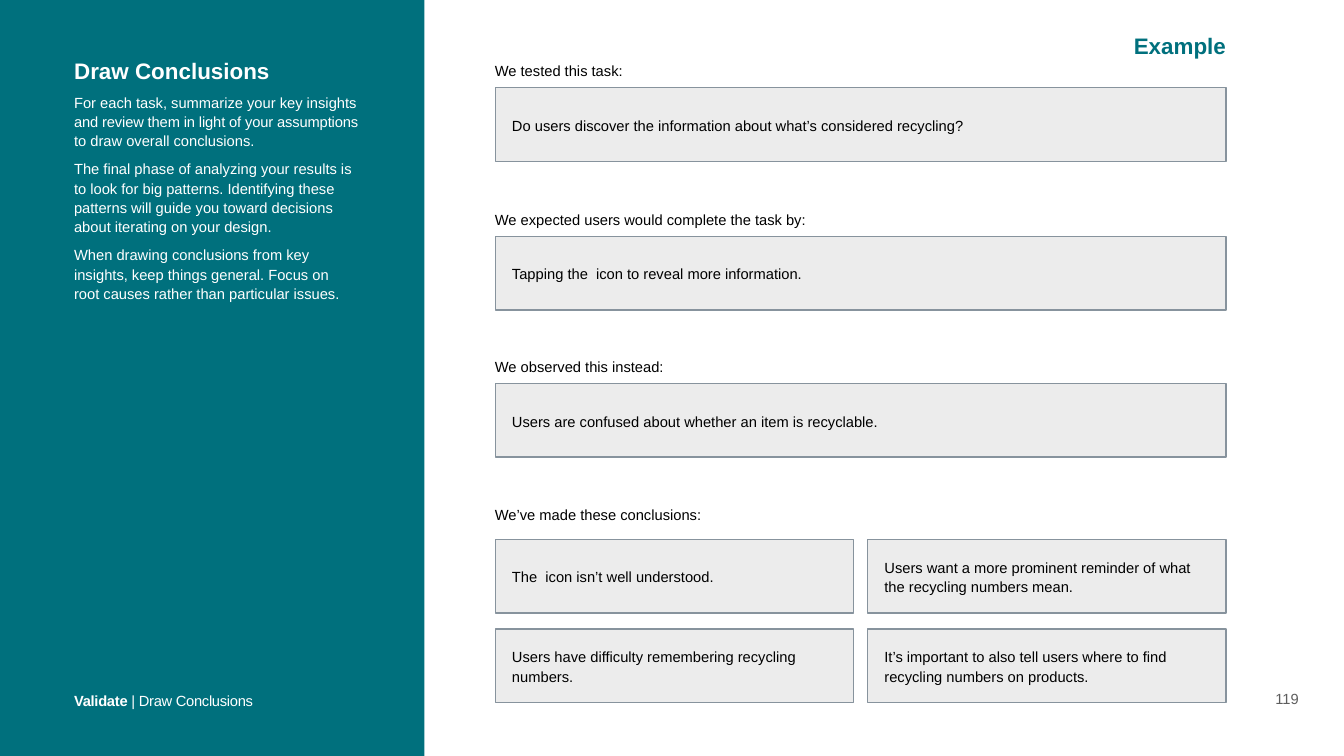
from lxml import etree
from pptx import Presentation
from pptx.dml.color import RGBColor
from pptx.enum.shapes import MSO_SHAPE
from pptx.enum.text import MSO_ANCHOR, MSO_AUTO_SIZE, PP_ALIGN
from pptx.oxml.ns import qn
from pptx.util import Inches, Pt

RECT = MSO_SHAPE.RECTANGLE
TOP, MID, LOW = MSO_ANCHOR.TOP, MSO_ANCHOR.MIDDLE, MSO_ANCHOR.BOTTOM
LEFT, MIDDLE, RIGHT = PP_ALIGN.LEFT, PP_ALIGN.CENTER, PP_ALIGN.RIGHT
FIXED = MSO_AUTO_SIZE.NONE

TEAL = RGBColor(0x00, 0x70, 0x7D)
WHITE = RGBColor(0xFF, 0xFF, 0xFF)
BLACK = RGBColor(0x00, 0x00, 0x00)
GRAY = RGBColor(0xD5, 0xD5, 0xD5)
EDGE = RGBColor(0x87, 0x93, 0x9D)
DIM = RGBColor(0x5E, 0x5E, 0x5E)

deck = Presentation()
deck.slide_width, deck.slide_height = Inches(26.67), Inches(15)
slide = deck.slides.add_slide(deck.slide_layouts[5])
shapes = slide.shapes


def write(shape, paras, color, size=21, inset=0.08, anchor=TOP,
          align=LEFT, lead=1.0, gap=0):
    """Fill a shape with paragraphs, each a list of (text, bold, spacing)."""
    frame = shape.text_frame
    pad = Inches(inset)
    look = {"word_wrap": True, "auto_size": FIXED, "vertical_anchor": anchor,
            "margin_left": pad, "margin_right": pad,
            "margin_top": pad, "margin_bottom": pad}
    for name, value in look.items():
        setattr(frame, name, value)
    for i, runs in enumerate(paras):
        para = frame.add_paragraph() if i else frame.paragraphs[0]
        style = {"alignment": align, "line_spacing": lead,
                 "space_before": Pt(gap if i else 0)}
        for name, value in style.items():
            setattr(para, name, value)
        for text, bold, track in runs:
            for j, line in enumerate(text.split("\n")):
                if j:
                    para.add_line_break()
                run = para.add_run()
                run.text = line
                face = {"name": "Arial", "size": Pt(size), "bold": bold}
                for name, value in face.items():
                    setattr(run.font, name, value)
                run.font.color.rgb = color
                if track:
                    run._r.get_or_add_rPr().set("spc", str(track))


def block(left, top, width, height, fill):
    """Add a plain filled rectangle."""
    shape = shapes.add_shape(RECT, *map(Inches, (left, top, width, height)))
    shape.shadow.inherit = False
    shape.fill.solid()
    shape.fill.fore_color.rgb = fill
    return shape


# Side panel, kept behind the title
panel = block(0, 0, 8.42, 15, TEAL)
panel.line.fill.background()
shapes._spTree.insert(2, panel._element)

# Title
title = shapes.title
spot = {"left": 1.39, "top": 1.06, "width": 5.9, "height": 0.68}
for name, value in spot.items():
    setattr(title, name, Inches(value))
write(title, [[("Draw Conclusions", True, 0)]], WHITE, size=32)

# Side text
advice = [
    [("For each task, summarize your key insights ", False, 0),
     ("and review them in light of your assumptions ", False, -20),
     ("to draw overall conclusions.", False, 0)],
    [("The final phase of analyzing your results is to look for big patterns. "
      "Identifying these patterns will guide you toward decisions about "
      "iterating on your design.", False, 0)],
    [("When drawing conclusions from key insights, keep things general. "
      "Focus on \nroot causes rather than particular issues.", False, 0)],
]
box = shapes.add_textbox(Inches(1.39), Inches(1.74), Inches(5.9), Inches(4.3))
write(box, advice, WHITE, lead=1.1, gap=12)

# Footer, page number and tag
foot = shapes.add_textbox(Inches(1.39), Inches(13.58), Inches(5.9), Inches(0.51))
write(foot, [[("Validate", True, -40), (" | Draw Conclusions", False, -40)]],
      WHITE, lead=1.2)
page = shapes.add_textbox(Inches(25.04), Inches(13.61), Inches(1), Inches(0.5))
write(page, [[("119", False, 0)]], DIM, anchor=LOW, align=MIDDLE)
tag = shapes.add_textbox(Inches(21.41), Inches(0.56), Inches(3), Inches(0.69))
write(tag, [[("Example", True, 0)]], TEAL, size=32, anchor=MID, align=RIGHT)

# Labels, and the cards under them
EDGE_X, FULL, HALF, HIGH = 9.83, 14.5, 7.11, 1.46
tasks = [
    (1.16, "We tested this task:",
     "Do users discover the information about what’s considered recycling?"),
    (4.11, "We expected users would complete the task by:",
     "Tapping the  icon to reveal more information."),
    (7.03, "We observed this instead:",
     "Users are confused about whether an item is recyclable."),
    (9.96, "We’ve made these conclusions:", None),
]
ends = [
    "The  icon isn’t well understood.",
    "Users want a more prominent reminder of what the recycling numbers mean.",
    "Users have difficulty remembering recycling numbers.",
    "It’s important to also tell users where to find recycling numbers "
    "on products.",
]
cards = []
for top, label, text in tasks:
    head = shapes.add_textbox(Inches(9.76), Inches(top), Inches(14.06), Inches(0.45))
    write(head, [[(label, False, 0)]], BLACK, inset=0.06, anchor=MID, lead=1.1)
    if text:
        cards.append((EDGE_X, top + 0.58, FULL, text))
for i, text in enumerate(ends):
    row, col = divmod(i, 2)
    cards.append((EDGE_X + col * (FULL - HALF), 10.7 + row * 1.78, HALF, text))

for left, top, width, text in cards:
    card = block(left, top, width, HIGH, GRAY)
    tint = card.fill._xPr.find(qn("a:solidFill"))[0]
    etree.SubElement(tint, qn("a:alpha")).set("val", "44000")
    card.line.color.rgb = EDGE
    card.line.width = Pt(2)
    write(card, [[(text, False, 0)]], BLACK, inset=0.33, anchor=MID, lead=1.1)

deck.save("out.pptx")
